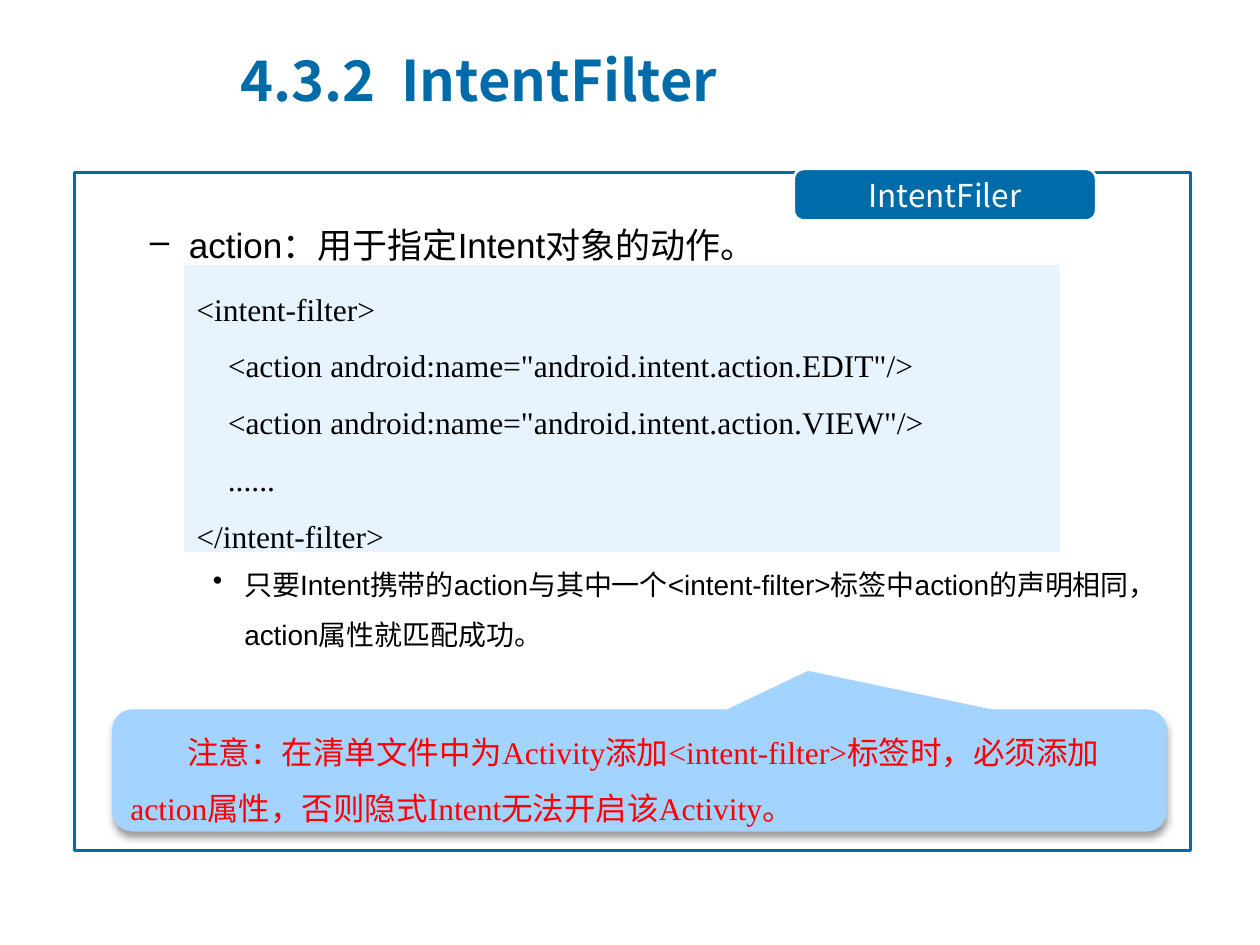
from lxml import etree
from pptx import Presentation
from pptx import util as u
from pptx.dml.color import RGBColor
from pptx.enum import shapes, text
from pptx.oxml import ns

HUES = {"blue": "006BA9", "code": "E7F4FF", "note": "A3D3FF",
        "red": "FF0000", "black": "000000", "white": "FFFFFF"}
KIND = shapes.MSO_SHAPE

deck = Presentation()
deck.slide_width, deck.slide_height = u.Inches(10), u.Inches(7.5)
page = deck.slides.add_slide(deck.slide_layouts[6])


def add(kind, area, fill=None, line=None):
    """Add a preset shape, or a text box when kind is None."""
    area = [u.Inches(v) for v in area]
    if kind is None:
        item = page.shapes.add_textbox(*area)
    else:
        item = page.shapes.add_shape(kind, *area)
        item.shadow.inherit = False
        if fill:
            item.fill.solid()
            item.fill.fore_color.rgb = RGBColor.from_string(HUES[fill])
        else:
            item.fill.background()
        if line:
            item.line.color.rgb = RGBColor.from_string(HUES[line])
            item.line.width = u.Pt(1.5)
        else:
            item.line.fill.background()
    item.text_frame.word_wrap = True
    return item


def write(item, words, size, face, hue, anchor="TOP", align="LEFT",
          space=1.5, left=0, first=0, mark=None, bold=False):
    """Fill a shape with text and format every paragraph alike."""
    frame = item.text_frame
    frame.text = words
    frame.vertical_anchor = getattr(text.MSO_ANCHOR, anchor)
    for para in frame.paragraphs:
        para.alignment = getattr(text.PP_ALIGN, align)
        para.line_spacing = space
        props = para._p.get_or_add_pPr()
        props.set("marL", str(u.Inches(left)))
        props.set("indent", str(u.Inches(first)))
        if mark:
            etree.SubElement(props, ns.qn("a:buChar"), char=mark)
        for run in para.runs:
            run.font.size = u.Pt(size)
            run.font.name = face
            run.font.bold = bold
            run.font.color.rgb = RGBColor.from_string(HUES[hue])


# Frame
add(KIND.RECTANGLE, (0.59, 1.37, 8.86, 5.38), line="blue")

# Bullets above and below the code
write(add(None, (0.59, 1.56, 8.81, 0.6)), "action：用于指定Intent对象的动作。",
      20, "Arial", "black", left=0.81, first=-0.31, mark="–")
write(add(None, (0.59, 4.32, 8.81, 0.95)),
      "只要Intent携带的action与其中一个<intent-filter>标签中action的声明相同，"
      "action属性就匹配成功。",
      16, "Arial", "black", left=1.25, first=-0.25, mark="•")

# Tab on the frame
tab = add(KIND.ROUNDED_RECTANGLE, (6.3, 1.34, 2.4, 0.41), "blue", "white")
tab.adjustments[0] = 0.2
write(tab, "IntentFiler", 18, "Noto Sans CJK SC", "white",
      "MIDDLE", "CENTER", space=1)

# Title
write(add(None, (1.81, 0.21, 5.63, 0.84)), "4.3.2  IntentFilter",
      32, "Noto Sans CJK SC", "blue", "MIDDLE", space=1, bold=True)

# Code
code = """<intent-filter>
    <action android:name="android.intent.action.EDIT"/>
    <action android:name="android.intent.action.VIEW"/>
    ......
</intent-filter>"""
write(add(KIND.RECTANGLE, (1.46, 2.1, 6.95, 2.28), "code"), code,
      18, "Times New Roman", "black")

# Callout with a soft shadow
note = add(KIND.ROUNDED_RECTANGULAR_CALLOUT, (0.89, 5.63, 8.37, 0.97), "note")
for spot, value in enumerate((0.16, -0.814, 0.167)):
    note.adjustments[spot] = value
write(note, "注意：在清单文件中为Activity添加<intent-filter>标签时，必须添加"
      "action属性，否则隐式Intent无法开启该Activity。",
      18, "Times New Roman", "red", "MIDDLE", first=0.45)
glow = etree.SubElement(note._element.spPr.find(ns.qn("a:effectLst")),
                        ns.qn("a:outerShdw"), blurRad=str(u.Pt(4)),
                        dist=str(u.Pt(3)), dir="5400000", rotWithShape="0")
tint = etree.SubElement(glow, ns.qn("a:srgbClr"), val=HUES["black"])
etree.SubElement(tint, ns.qn("a:alpha"), val="40000")

deck.save("out.pptx")
